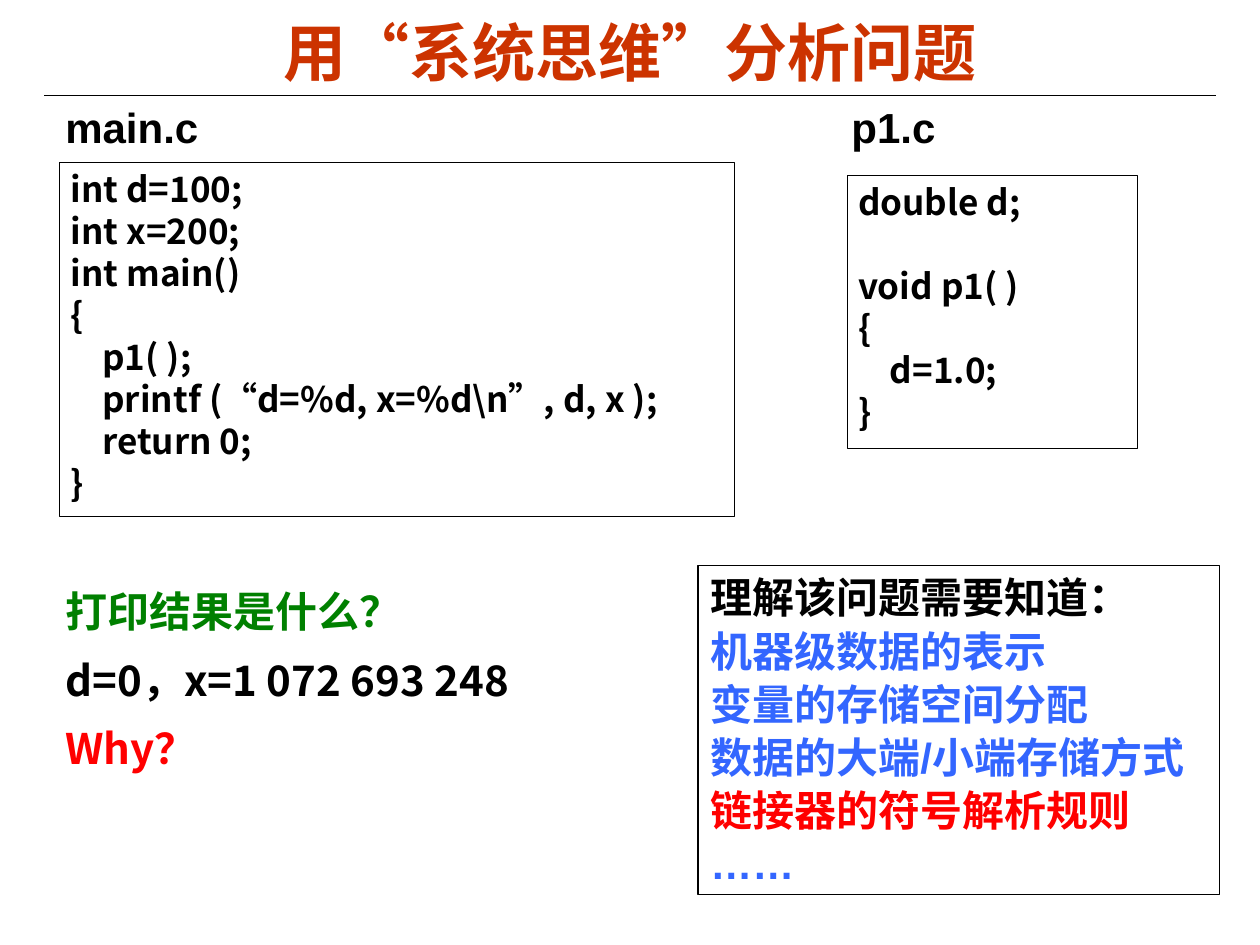
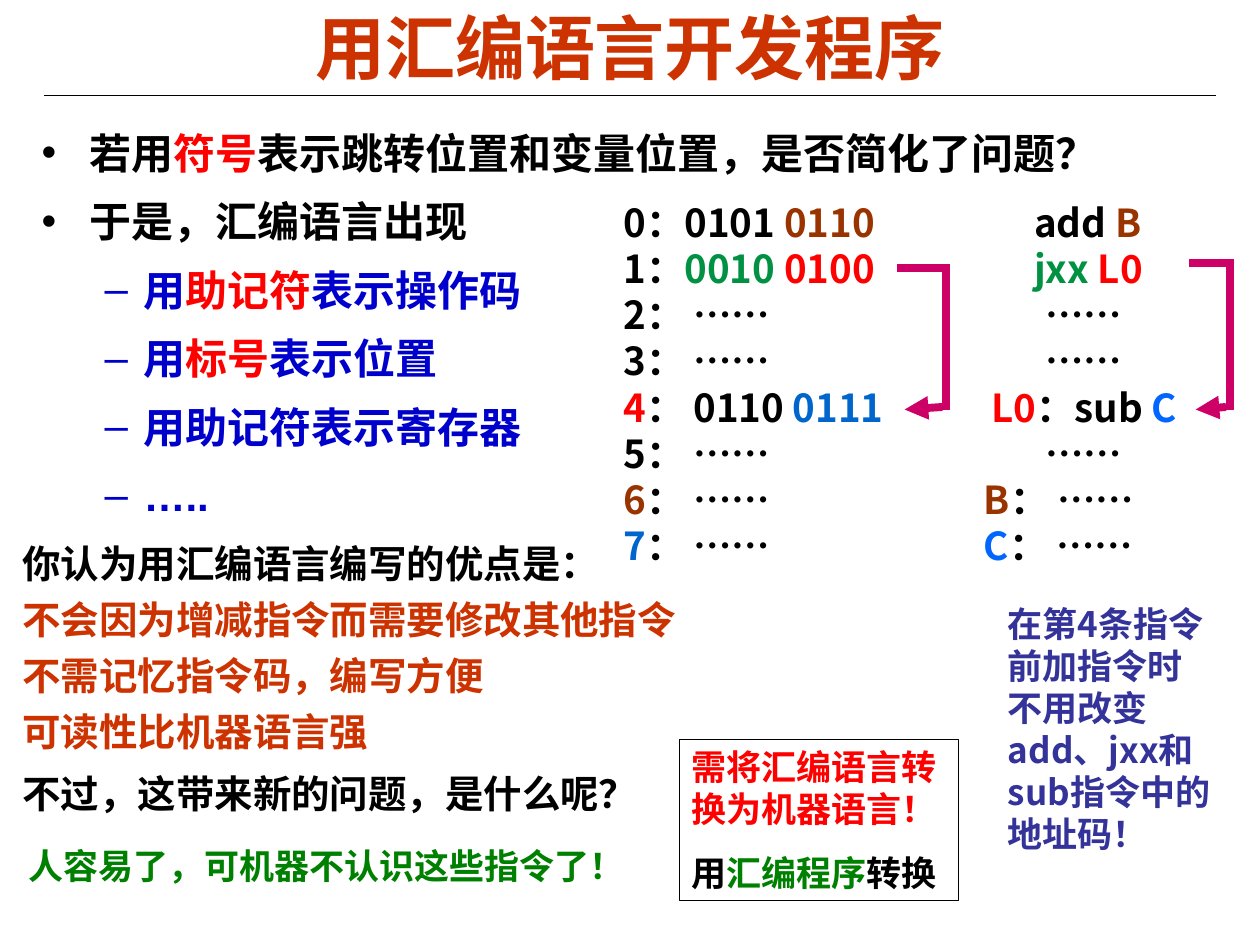
from dataclasses import dataclass

from lxml.etree import SubElement
from pptx import Presentation
from pptx.dml.color import RGBColor
from pptx.enum.shapes import MSO_CONNECTOR, MSO_SHAPE
from pptx.enum.text import MSO_ANCHOR, MSO_AUTO_SIZE, PP_ALIGN
from pptx.oxml.ns import qn
from pptx.util import Inches, Pt


@dataclass(frozen=True)
class Theme:
    """Colours, fonts and type sizes shared by the slides."""
    ink: str = "000000"
    title: str = "CC3300"
    red: str = "FF0000"
    green: str = "008000"
    leaf: str = "009242"
    blue: str = "3366FF"
    navy: str = "0000CC"
    indigo: str = "333399"
    brown: str = "993300"
    sea: str = "0066CC"
    sky: str = "0066FF"
    pink: str = "CC0066"
    latin: str = "Arial"
    asian: str = "Noto Sans CJK SC"
    large: int = 24
    mid: int = 22
    small: int = 20
    lead: float = 1.2


T = Theme()


@dataclass
class Para:
    """One paragraph: text or (text, colour) runs, with its own spacing."""
    runs: object
    gap: float = None
    left: float = 0
    hang: float = 0
    level: int = 0


def write(frame, paras, size=T.large, color=T.ink, font=T.latin, lead=1,
          gap=0, align=PP_ALIGN.LEFT, anchor=MSO_ANCHOR.TOP,
          pad=(0.1, 0.05, 0.1, 0.05)):
    """Fill a text frame with formatted paragraphs."""
    frame.word_wrap = True
    frame.auto_size = MSO_AUTO_SIZE.NONE
    frame.vertical_anchor = anchor
    (frame.margin_left, frame.margin_top,
     frame.margin_right, frame.margin_bottom) = map(Inches, pad)
    for num, item in enumerate(paras):
        item = item if isinstance(item, Para) else Para(item)
        par = frame.add_paragraph() if num else frame.paragraphs[0]
        par.level = item.level
        prop = par._p.get_or_add_pPr()
        prop.set("marL", str(Inches(item.left)))
        prop.set("indent", str(Inches(-item.hang)))
        if not item.hang:
            SubElement(prop, qn("a:buNone"))
        par.alignment = align
        par.line_spacing = Pt(round(size * T.lead * lead, 1))
        before = gap if item.gap is None else item.gap
        par.space_before = Pt(before if num else 0)
        runs = item.runs
        for words, tint in [(runs, color)] if isinstance(runs, str) else runs:
            run = par.add_run()
            run.text = words
            run.font.size = Pt(size)
            run.font.bold = True
            run.font.name = font
            run.font.color.rgb = RGBColor.from_string(tint)
            asian = SubElement(run.font._element, qn("a:ea"))
            asian.set("typeface", T.asian)


def place(shape, area):
    """Move a shape to left, top, width and height in inches."""
    shape.left, shape.top, shape.width, shape.height = map(Inches, area)


def note(slide, area, paras, **form):
    """Add a plain text box."""
    write(slide.shapes.add_textbox(*map(Inches, area)).text_frame, paras, **form)


def frame(slide, area, paras, width=0.75, **form):
    """Add an outlined box with text."""
    box = slide.shapes.add_shape(MSO_SHAPE.RECTANGLE, *map(Inches, area))
    box.shadow.inherit = False
    box.fill.background()
    box.line.color.rgb = RGBColor.from_string(T.ink)
    box.line.width = Pt(width)
    write(box.text_frame, paras, **form)


def line(slide, start, end, color=T.ink, width=0.75, arrow=False):
    """Add a straight line, with an arrowhead at its end if asked."""
    rule = slide.shapes.add_connector(
        MSO_CONNECTOR.STRAIGHT, *map(Inches, (*start, *end)))
    rule.line.color.rgb = RGBColor.from_string(color)
    rule.line.width = Pt(width)
    if arrow:
        SubElement(rule.line._get_or_add_ln(), qn("a:tailEnd"), type="triangle")
    SubElement(rule._element.spPr, qn("a:effectLst"))


def jump(slide, start, right, tip):
    """Draw a bent jump arrow from an instruction to its target."""
    (x, top), (end, low) = start, tip
    mid = right - 0.03
    form = dict(color=T.pink, width=4.5)
    line(slide, start, (right, top), **form)
    line(slide, (mid, top - 0.01), (mid, low), **form)
    line(slide, (mid - 0.03, low - 0.02), tip, arrow=True, **form)


def page(deck, title, size, area, body):
    """Add a slide with title, rule and body list."""
    slide = deck.slides.add_slide(deck.slide_layouts[1])
    line(slide, (0.35, 0.76), (9.65, 0.76))
    head, main_box = slide.placeholders
    place(head, (0.5, 0.04, 9, 0.74 if size < 40 else 0.66))
    write(head.text_frame, [title], size=size, color=T.title,
          align=PP_ALIGN.CENTER, anchor=MSO_ANCHOR.MIDDLE)
    place(main_box, area)
    write(main_box.text_frame, body, lead=1.15, gap=6,
          font=T.latin if size == 40 else T.asian)
    return slide


def think(deck):
    """Build the slide on systems thinking."""
    slide = page(deck, "用“系统思维”分析问题", 36, (0.42, 4.54, 4.43, 1.87), [
        [("打印结果是什么？", T.green)],
        "d=0，x=1 072 693 248",
        [("Why？", T.red)],
    ])
    code = dict(size=T.small, font=T.asian, width=0.25,
                pad=(0.09, 0.04, 0.09, 0.04))
    frame(slide, (6.72, 1.39, 2.31, 2.17), [
        "double d;",
        Para("void p1( )", gap=T.small * T.lead),
        "{",
        "    d=1.0;",
        "}",
    ], **code)
    frame(slide, (0.47, 1.29, 5.36, 2.81), [
        "int d=100;",
        "int x=200;",
        "int main()",
        "{",
        "    p1( );",
        "    printf (“d=%d, x=%d\\n”, d, x );",
        "    return 0;",
        "}",
    ], **code)
    for left, name in ((0.42, "main.c"), (6.66, "p1.c")):
        note(slide, (left, 0.7, 2, 0.64), [name], lead=1.15)
    frame(slide, (5.54, 4.49, 4.14, 2.61), [
        [("理解该问题需要知道：", T.ink)],
        "机器级数据的表示",
        "变量的存储空间分配",
        "数据的大端/小端存储方式",
        [("链接器的符号解析规则", T.red)],
        "……",
    ], color=T.blue, gap=1.5)


def point(*runs):
    """Make a first-level bullet."""
    return Para(runs, left=0.38, hang=0.38)


def sub(*runs):
    """Make a second-level bullet."""
    return Para(runs, left=0.81, hang=0.31, level=1)


def assembly(deck):
    """Build the slide on assembly language."""
    slide = page(deck, "用汇编语言开发程序", 40, (0.23, 0.9, 8.91, 5.43), [
        point(("若用", T.ink), ("符号", T.red),
              ("表示跳转位置和变量位置，是否简化了问题？", T.ink)),
        point(("于是，汇编语言出现", T.ink)),
        sub(("用", T.navy), ("助记符", T.red), ("表示操作码", T.navy)),
        sub(("用", T.navy), ("标号", T.red), ("表示位置", T.navy)),
        sub(("用助记符表示寄存器", T.navy)),
        sub(("…..", T.navy)),
    ])
    dots = "： ……"
    code = dict(size=T.mid, font=T.asian)
    note(slide, (4.85, 1.53, 2.65, 3.04), [
        [("0：0101 ", T.ink), ("0110", T.brown)],
        [("1：", T.ink), ("0010 ", T.leaf), ("0100", T.red)],
        "2" + dots,
        "3" + dots,
        [("4", T.red), ("： 0110 ", T.ink), ("0111", T.sea)],
        "5" + dots,
        [("6", T.brown), (dots, T.ink)],
        [("7", T.sea), (dots, T.ink)],
    ], **code)
    skip = Para("……", left=0.49)
    note(slide, (7.71, 1.53, 2.05, 3.04), [
        Para([("add ", T.ink), ("B", T.brown)], left=0.4),
        Para([("jxx ", T.leaf), ("L0", T.red)], left=0.4),
        skip,
        skip,
        Para([("L0", T.red), ("：sub ", T.ink), ("C", T.sky)], left=0.06),
        skip,
        [("B", T.brown), (dots, T.ink)],
        [("C", T.sky), (dots, T.ink)],
    ], **code)
    jump(slide, (7.12, 2.13), 7.54, (7.18, 3.25))
    jump(slide, (9.44, 2.09), 9.79, (9.49, 3.25))
    note(slide, (7.9, 4.73, 1.82, 2.1),
         ["在第4条指令前加指令时不用改变add、jxx和sub指令中的地址码！"],
         size=T.small, color=T.indigo, font=T.asian)
    note(slide, (0.08, 4.24, 5.71, 1.8), [
        [("你认为用汇编语言编写的优点是：", T.ink)],
        "不会因为增减指令而需要修改其他指令",
        "不需记忆指令码，编写方便",
        "可读性比机器语言强",
    ], size=T.mid, color=T.title, gap=5.5)
    note(slide, (0.08, 6.06, 5.36, 0.47),
         ["不过，这带来新的问题，是什么呢？"], size=T.mid)
    note(slide, (0.13, 6.65, 5.02, 0.44),
         ["人容易了，可机器不认识这些指令了！"], size=T.small, color=T.green)
    frame(slide, (5.39, 5.87, 2.22, 1.28), [
        [("需将汇编语言转换为机器语言！", T.red)],
        [("用", T.ink), ("汇编程序", T.green), ("转换", T.ink)],
    ], size=T.small, gap=12.5, pad=(0.1, 0.05, 0, 0.05))


def main():
    """Build and save the deck."""
    deck = Presentation()
    deck.slide_width, deck.slide_height = Inches(10), Inches(7.5)
    think(deck)
    assembly(deck)
    deck.save("out.pptx")


if __name__ == "__main__":
    main()
